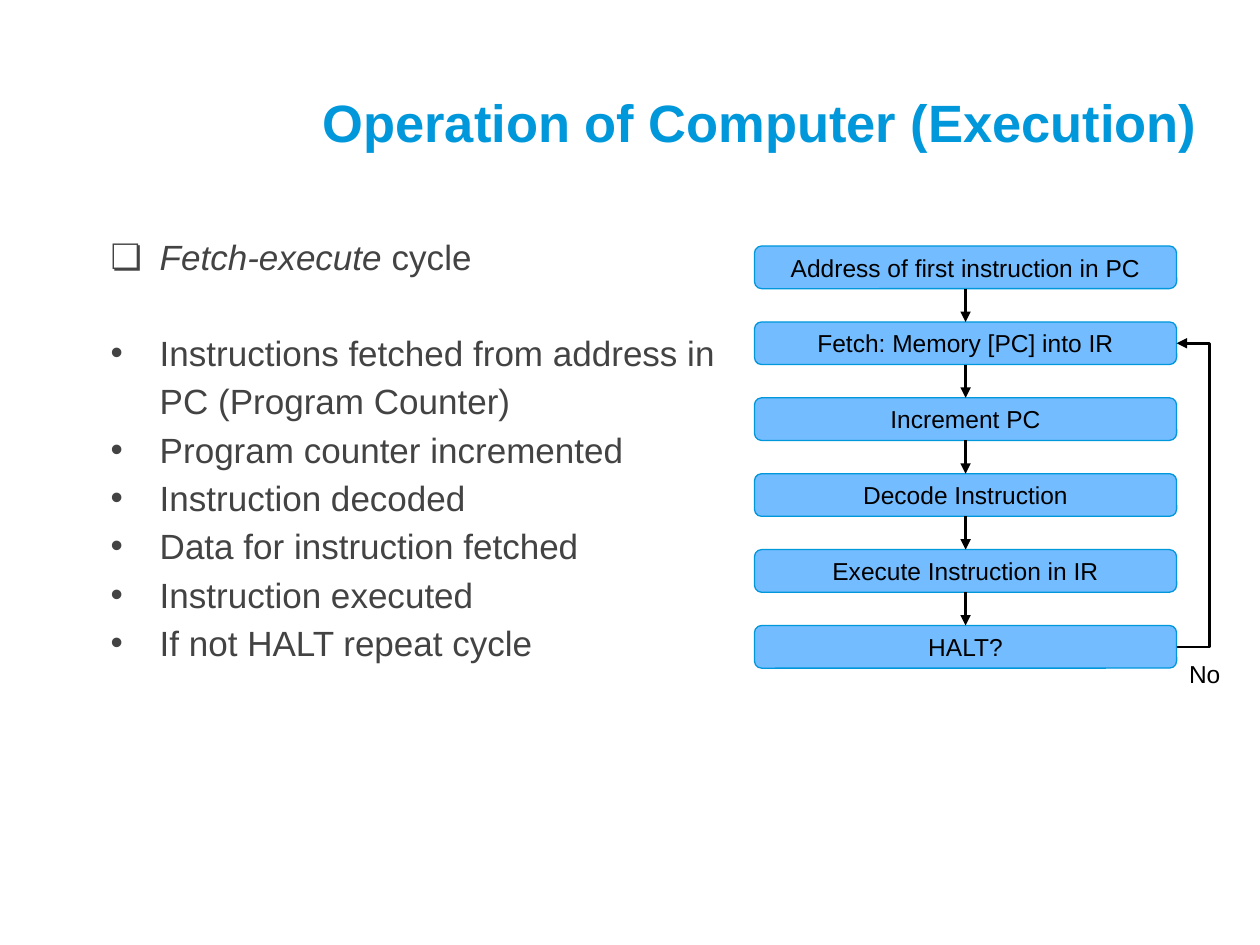
from lxml import etree
from pptx import Presentation
from pptx.dml.color import RGBColor
from pptx.enum.shapes import MSO_CONNECTOR, MSO_SHAPE
from pptx.enum.text import MSO_ANCHOR, MSO_AUTO_SIZE, PP_ALIGN
from pptx.oxml.ns import qn
from pptx.util import Cm, Pt

STRAIGHT = MSO_CONNECTOR.STRAIGHT
ROUNDED = MSO_SHAPE.ROUNDED_RECTANGLE
TOP, MIDDLE, BOTTOM = MSO_ANCHOR.TOP, MSO_ANCHOR.MIDDLE, MSO_ANCHOR.BOTTOM
LEFT, CENTER = PP_ALIGN.LEFT, PP_ALIGN.CENTER
NO_AUTOFIT = MSO_AUTO_SIZE.NONE

FONT = "Arial"
BLUE, LIGHT_BLUE, GREY, BLACK = "0098DB", "72BCFF", "434343", "000000"

TITLE = "Operation of Computer (Execution)"
# Each item: bullet character, then runs of (text, italic)
ITEMS = [
    ("❏", [("Fetch-execute ", True), ("cycle", False)]),
    ("•", [("Instructions fetched from address in PC (Program Counter)", False)]),
    ("•", [("Program counter incremented", False)]),
    ("•", [("Instruction decoded", False)]),
    ("•", [("Data for instruction fetched", False)]),
    ("•", [("Instruction executed", False)]),
    ("•", [("If not HALT repeat cycle", False)]),
]
STEPS = [
    "Address of first instruction in PC",
    "Fetch: Memory [PC] into IR",
    "Increment PC",
    "Decode Instruction",
    "Execute Instruction in IR",
    "HALT?",
]
LOOP_TARGET = 1  # index of the step that the loop returns to


def color(hex_string):
    return RGBColor.from_string(hex_string)


def place(shape, box):
    shape.left, shape.top, shape.width, shape.height = (Cm(value) for value in box)


def format_frame(frame, anchor, vertical_margin):
    frame.word_wrap = True
    frame.auto_size = NO_AUTOFIT
    frame.vertical_anchor = anchor
    frame.margin_left = frame.margin_right = Cm(0.25)
    frame.margin_top = frame.margin_bottom = Cm(vertical_margin)


def add_run(paragraph, text, size, hex_string, bold=False, italic=False):
    run = paragraph.add_run()
    run.text = text
    font = run.font
    font.name, font.size, font.bold, font.italic = FONT, Pt(size), bold, italic
    font.color.rgb = color(hex_string)


def set_bullet(paragraph, character, hex_string):
    properties = paragraph._p.get_or_add_pPr()
    properties.set("marL", str(Cm(1.27)))
    properties.set("indent", str(Cm(-0.99)))
    bullet_color = etree.SubElement(properties, qn("a:buClr"))
    etree.SubElement(bullet_color, qn("a:srgbClr"), val=hex_string)
    etree.SubElement(properties, qn("a:buFont"), typeface=FONT)
    etree.SubElement(properties, qn("a:buChar"), char=character)


def style_arrow(shape):
    shape.line.color.rgb = color(BLACK)
    shape.line.width = Pt(1.5)
    etree.SubElement(shape.line._get_or_add_ln(), qn("a:tailEnd"), type="triangle")


def fill_title(title, box):
    place(title, box)
    format_frame(title.text_frame, BOTTOM, 0.13)
    paragraph = title.text_frame.paragraphs[0]
    paragraph.alignment = LEFT
    add_run(paragraph, TITLE, 30, BLUE, bold=True)


def fill_list(body, box):
    place(body, box)
    frame = body.text_frame
    format_frame(frame, TOP, 0.13)
    for index, (bullet, runs) in enumerate(ITEMS):
        paragraph = frame.add_paragraph() if index else frame.paragraphs[0]
        paragraph.alignment = LEFT
        paragraph.line_spacing = 1.15
        paragraph.space_before = Pt(0)
        # The heading item stands one line apart from the steps
        paragraph.space_after = Pt(0 if index else 27)
        set_bullet(paragraph, bullet, GREY)
        for text, italic in runs:
            add_run(paragraph, text, 20, GREY, italic=italic)


def add_step(slide, text, box):
    step = slide.shapes.add_shape(ROUNDED, 0, 0, 0, 0)
    place(step, box)
    step.shadow.inherit = False
    step.fill.solid()
    step.fill.fore_color.rgb = color(LIGHT_BLUE)
    step.line.color.rgb = color(BLUE)
    step.line.width = Pt(0.75)
    format_frame(step.text_frame, MIDDLE, 0.25)
    paragraph = step.text_frame.paragraphs[0]
    paragraph.alignment = CENTER
    add_run(paragraph, text, 14, BLACK)


def add_flowchart(slide, box):
    left, top, width, height = box
    step_height = 0.86
    pitch = (height - step_height) / (len(STEPS) - 1)
    tops = [top + index * pitch for index in range(len(STEPS))]
    center, right = left + width / 2, left + width

    # Steps
    for text, step_top in zip(STEPS, tops):
        add_step(slide, text, (left, step_top, width, step_height))

    # Arrows between steps
    for step_top, next_top in zip(tops, tops[1:]):
        arrow = slide.shapes.add_connector(
            STRAIGHT, Cm(center), Cm(step_top + step_height), Cm(center), Cm(next_top))
        style_arrow(arrow)
        etree.SubElement(arrow._element.spPr, qn("a:effectLst"))

    # Loop from the last step back to the fetch step
    loop_x = right + 0.66
    start_y = tops[-1] + step_height / 2
    end_y = tops[LOOP_TARGET] + step_height / 2
    builder = slide.shapes.build_freeform(Cm(right), Cm(start_y))
    corners = [(loop_x, start_y), (loop_x, end_y), (right, end_y)]
    builder.add_line_segments([(Cm(x), Cm(y)) for x, y in corners], close=False)
    loop = builder.convert_to_shape()
    loop.shadow.inherit = False
    loop.fill.background()
    style_arrow(loop)

    # Loop label
    label = slide.shapes.add_textbox(0, 0, 0, 0)
    place(label, (right, start_y, 1.47, step_height))
    format_frame(label.text_frame, TOP, 0.25)
    add_run(label.text_frame.paragraphs[0], "No", 14, BLACK)


def main():
    presentation = Presentation()
    presentation.slide_width, presentation.slide_height = Cm(25.4), Cm(19.05)
    slide = presentation.slides.add_slide(presentation.slide_layouts[1])
    fill_title(slide.shapes.title, (6.25, 0.97, 18.24, 2.24))
    fill_list(slide.placeholders[1], (1.7, 4.5, 13.92, 14.25))
    add_flowchart(slide, (15.21, 4.96, 8.51, 8.51))
    presentation.save("out.pptx")


if __name__ == "__main__":
    main()
